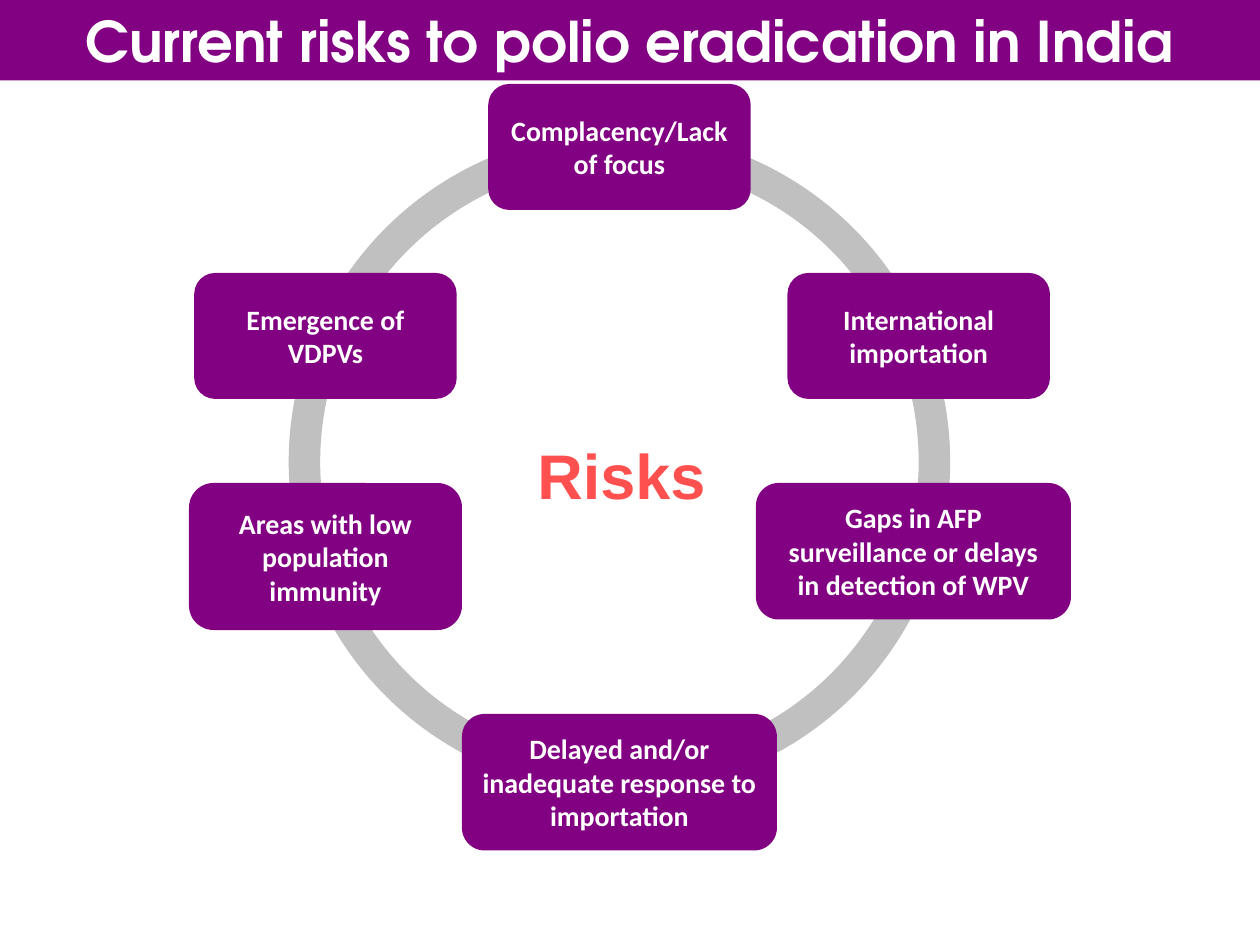
"""Build a slide showing six risks to polio eradication around a ring."""
from pptx import Presentation
from pptx import util as u
from pptx.dml.color import RGBColor
from pptx.enum import shapes, text

COLORS = {"purple": "820082", "ring": "C0C0C0", "white": "FFFFFF", "red": "FF5050"}
RISKS = [
    ("International importation", 75, 26, 25, 12),
    ("Gaps in AFP surveillance or delays in detection of WPV", 72, 46, 30, 13),
    ("Delayed and/or inadequate response to importation", 44, 68, 30, 13),
    ("Areas with low population immunity", 18, 46, 26, 14),
    ("Emergence of VDPVs", 18.5, 26, 25, 12),
    ("Complacency/Lack of focus", 46.5, 8, 25, 12),
]

prs = Presentation()
prs.slide_width, prs.slide_height = u.Inches(10), u.Inches(7.5)
s = prs.slides.add_slide(prs.slide_layouts[6])
UNIT = prs.slide_width / 120


def add_shape(kind, *cells, fill=None):
    sp = s.shapes.add_shape(kind, *(round(c * UNIT) for c in cells))
    sp.shadow.inherit = False
    if fill:
        sp.fill.solid()
        sp.fill.fore_color.rgb = RGBColor.from_string(COLORS[fill])
        sp.line.fill.background()
    else:
        sp.fill.background()
    return sp


def write(sp, words, font, size, color, align, anchor, fit=text.MSO_AUTO_SIZE.NONE):
    tf = sp.text_frame
    tf.word_wrap = True
    tf.auto_size = fit
    tf.vertical_anchor = anchor
    p = tf.paragraphs[0]
    p.alignment = align
    r = p.add_run()
    r.text = words
    r.font.name, r.font.size, r.font.bold = font, u.Pt(size), True
    r.font.color.rgb = RGBColor.from_string(COLORS[color])


CENTER, LEFT = text.PP_ALIGN.CENTER, text.PP_ALIGN.LEFT
TOP, MIDDLE = text.MSO_ANCHOR.TOP, text.MSO_ANCHOR.MIDDLE
GROW = text.MSO_AUTO_SIZE.SHAPE_TO_FIT_TEXT

ring = add_shape(shapes.MSO_SHAPE.OVAL, 29, 14, 60, 60)
ring.line.color.rgb = RGBColor.from_string(COLORS["ring"])
ring.line.width = u.Pt(18)

title = add_shape(shapes.MSO_SHAPE.RECTANGLE, 0, 0, 120, 7.65, fill="purple")
write(title, "Current risks to polio eradication in India",
      "TeX Gyre Adventor", 32, "white", CENTER, TOP, GROW)

for words, *cells in RISKS:
    box = add_shape(shapes.MSO_SHAPE.FLOWCHART_ALTERNATE_PROCESS, *cells, fill="purple")
    write(box, words, "Calibri", 16, "white", CENTER, MIDDLE)

label = s.shapes.add_textbox(*(round(c * UNIT) for c in (50, 41, 19.7, 8.4)))
write(label, "Risks", "Arial", 36, "red", LEFT, TOP, GROW)

prs.save("out.pptx")
